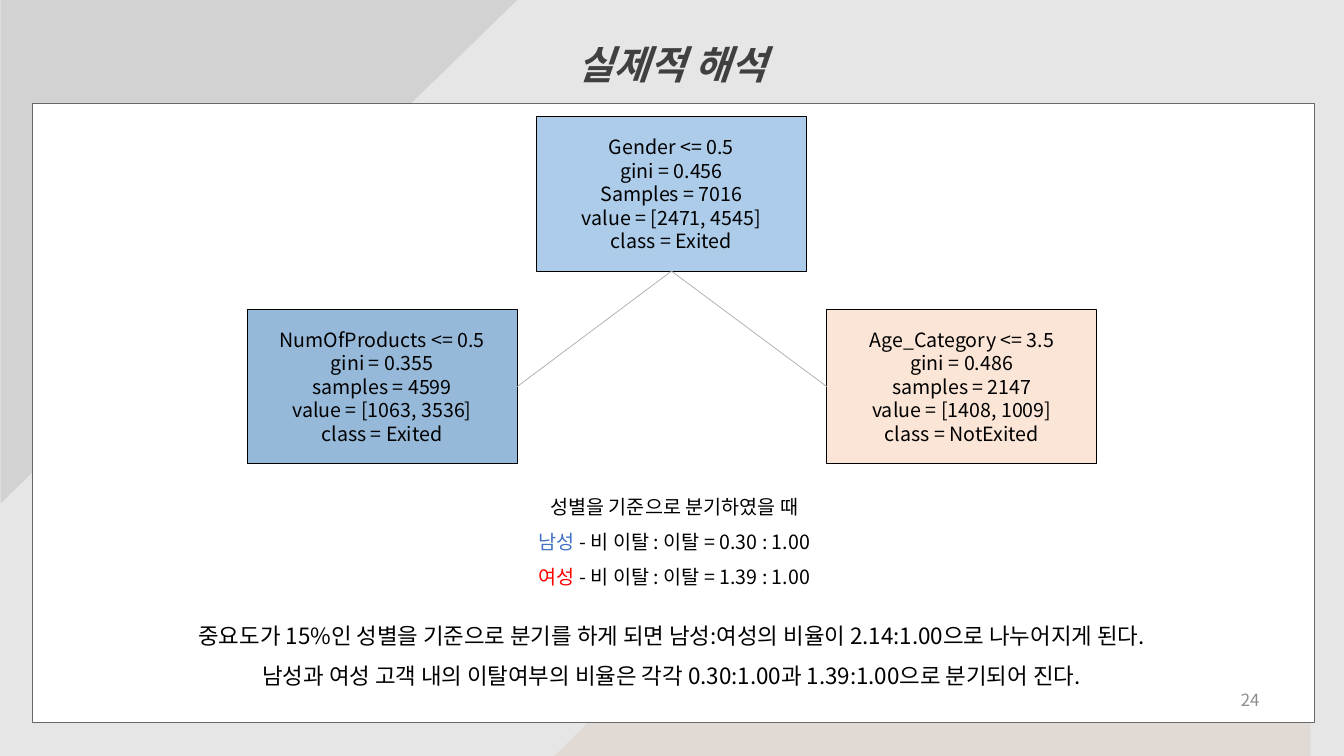
"""Builds the slide that interprets the first split of a decision tree."""
from lxml import etree
from pptx import Presentation
from pptx.dml.color import RGBColor
from pptx.enum.shapes import MSO_CONNECTOR, MSO_SHAPE
from pptx.enum.text import MSO_ANCHOR, MSO_AUTO_SIZE, PP_ALIGN
from pptx.oxml.ns import qn
from pptx.util import Inches, Pt

RECTANGLE = MSO_SHAPE.RECTANGLE
TRIANGLE = MSO_SHAPE.RIGHT_TRIANGLE
STRAIGHT = MSO_CONNECTOR.STRAIGHT
TOP, MIDDLE = MSO_ANCHOR.TOP, MSO_ANCHOR.MIDDLE
GROW, FIXED = MSO_AUTO_SIZE.SHAPE_TO_FIT_TEXT, MSO_AUTO_SIZE.NONE
CENTER, RIGHT = PP_ALIGN.CENTER, PP_ALIGN.RIGHT
BOTTOM_SIDE, LEFT_SIDE, RIGHT_SIDE = 2, 1, 3

BACKGROUND = RGBColor(0xE7, 0xE6, 0xE6)
BEIGE = RGBColor(0xE1, 0xDA, 0xD4)
GRAY = RGBColor(0xD2, 0xD2, 0xD2)
WHITE = RGBColor(0xFF, 0xFF, 0xFF)
PANEL_LINE = RGBColor(0x64, 0x69, 0x6D)
TITLE_COLOR = RGBColor(0x40, 0x40, 0x40)
BLACK = RGBColor(0, 0, 0)
MALE_BLUE = RGBColor(0x44, 0x72, 0xC4)
FEMALE_RED = RGBColor(0xFF, 0, 0)
LIGHT_BLUE = RGBColor(0x5B, 0x9B, 0xD5)
DARK_BLUE = RGBColor(0x2E, 0x75, 0xB6)
PEACH = RGBColor(0xFB, 0xE5, 0xD6)
BRANCH_GRAY = RGBColor(0xAF, 0xAB, 0xAB)
NUMBER_GRAY = RGBColor(0x8C, 0x8C, 0x8C)

NODE_WIDTH, NODE_HEIGHT = 2.68, 1.53


class SlideBuilder:
    """Holds the font and the current slide, and draws its elements."""

    font_name = "Noto Sans CJK KR"

    def __init__(self, presentation):
        self.slide = presentation.slides.add_slide(presentation.slide_layouts[5])
        self.shapes = self.slide.shapes
        fill = self.slide.background.fill
        fill.solid()
        fill.fore_color.rgb = BACKGROUND

    def paint(self, shape, color, line=None, line_width=1, alpha=None):
        """Set fill, outline and optional opacity in percent."""
        shape.shadow.inherit = False
        shape.fill.solid()
        shape.fill.fore_color.rgb = color
        if alpha is not None:
            color_element = shape._element.spPr.find(qn("a:solidFill"))[0]
            etree.SubElement(color_element, qn("a:alpha"), val=str(alpha * 1000))
        if line is None:
            shape.line.fill.background()
        else:
            shape.line.color.rgb = line
            shape.line.width = Pt(line_width)
        return shape

    def block(self, kind, box, color, **style):
        """Add a painted preset shape."""
        shape = self.shapes.add_shape(kind, *map(Inches, box))
        return self.paint(shape, color, **style)

    def outline(self, points, color):
        """Add a painted closed polygon."""
        builder = self.shapes.build_freeform(*points[0], scale=Inches(1))
        builder.add_line_segments(points[1:], close=True)
        return self.paint(builder.convert_to_shape(), color)

    def fill_text(self, shape, lines, size, color=BLACK, align=CENTER, spacing=None,
                  anchor=TOP, grow=GROW, bold=None, italic=None):
        """Fill a shape with lines, each a string or a list of coloured runs."""
        frame = shape.text_frame
        frame.word_wrap = True
        frame.auto_size = grow
        frame.vertical_anchor = anchor
        for index, line in enumerate(lines):
            paragraph = frame.add_paragraph() if index else frame.paragraphs[0]
            paragraph.alignment = align
            paragraph.line_spacing = spacing
            font = paragraph.font
            font.name, font.size = self.font_name, Pt(size)
            font.bold, font.italic = bold, italic
            defaults = paragraph._p.pPr.find(qn("a:defRPr"))
            if isinstance(line, str):
                font.color.rgb = color
                paragraph.add_run().text = line
            else:
                for text, run_color in line:
                    run = paragraph.add_run()
                    run.text = text
                    run.font.color.rgb = run_color
            east_asian = etree.Element(qn("a:ea"), typeface=self.font_name)
            defaults.find(qn("a:latin")).addnext(east_asian)

    def title(self, text, box):
        """Move, fill and format the title placeholder."""
        title = self.shapes.title
        title.left, title.top, title.width, title.height = map(Inches, box)
        self.fill_text(title, [text], 28, TITLE_COLOR, spacing=1.5, bold=True, italic=True)

    def text(self, box, lines, size, **style):
        """Add a text box."""
        self.fill_text(self.shapes.add_textbox(*map(Inches, box)), lines, size, **style)

    def node(self, left, top, color, lines, alpha=None):
        """Add a decision tree node."""
        box = (left, top, NODE_WIDTH, NODE_HEIGHT)
        shape = self.block(RECTANGLE, box, color, line=BLACK, line_width=0.75, alpha=alpha)
        self.fill_text(shape, lines, 14, anchor=MIDDLE, grow=FIXED)
        return shape

    def branch(self, parent, child, child_side):
        """Join the bottom of a parent node to a side of its child."""
        connector = self.shapes.add_connector(STRAIGHT, 0, 0, 0, 0)
        connector.begin_connect(parent, BOTTOM_SIDE)
        connector.end_connect(child, child_side)
        connector.line.color.rgb = BRANCH_GRAY
        connector.line.width = Pt(0.5)
        etree.SubElement(connector._element.spPr, qn("a:effectLst"))


def main():
    """Build and save the slide."""
    presentation = Presentation()
    presentation.slide_width = Inches(13.33)
    presentation.slide_height = Inches(7.5)
    builder = SlideBuilder(presentation)

    builder.outline([(10.44, 2.54), (11.3, 2.54), (13.33, 4.57),
                     (13.33, 7.5), (5.13, 7.5)], BEIGE)
    builder.block(TRIANGLE, (0.07, -0.07, 5, 5.13), GRAY).rotation = 90
    builder.block(RECTANGLE, (0.32, 1.03, 12.72, 6.14), WHITE, line=PANEL_LINE)
    builder.title("실제적 해석", (2.88, 0.12, 7.57, 0.72))

    ratios = [("남성 ", MALE_BLUE, "0.30"), ("여성 ", FEMALE_RED, "1.39")]
    builder.text((3.78, 4.74, 5.82, 1.13), ["성별을 기준으로 분기하였을 때"] + [
        [(gender, color), (f"- 비 이탈 : 이탈 = {ratio} : 1.00", BLACK)]
        for gender, color, ratio in ratios
    ], 14, spacing=1.5)

    root = builder.node(5.32, 1.16, LIGHT_BLUE, [
        "Gender <= 0.5", "gini = 0.456", "Samples = 7016",
        "value = [2471, 4545]", "class = Exited"], alpha=50)
    male = builder.node(2.45, 3.07, DARK_BLUE, [
        "NumOfProducts <= 0.5", "gini = 0.355", "samples = 4599",
        "value = [1063, 3536]", "class = Exited"], alpha=50)
    female = builder.node(8.2, 3.07, PEACH, [
        "Age_Category <= 3.5", "gini = 0.486", "samples = 2147",
        "value = [1408, 1009]", "class = NotExited"])
    builder.branch(root, male, RIGHT_SIDE)
    builder.branch(root, female, LEFT_SIDE)

    builder.text((9.59, 6.74, 3, 0.4), ["24"], 12, color=NUMBER_GRAY,
                 align=RIGHT, anchor=MIDDLE, grow=FIXED)
    builder.text((0.74, 5.99, 11.84, 0.86), [
        "중요도가 15%인 성별을 기준으로 분기를 하게 되면 남성:여성의 비율이 2.14:1.00으로 나누어지게 된다.",
        "남성과 여성 고객 내의 이탈여부의 비율은 각각 0.30:1.00과 1.39:1.00으로 분기되어 진다.",
    ], 16, spacing=1.5)

    presentation.save("out.pptx")


if __name__ == "__main__":
    main()
